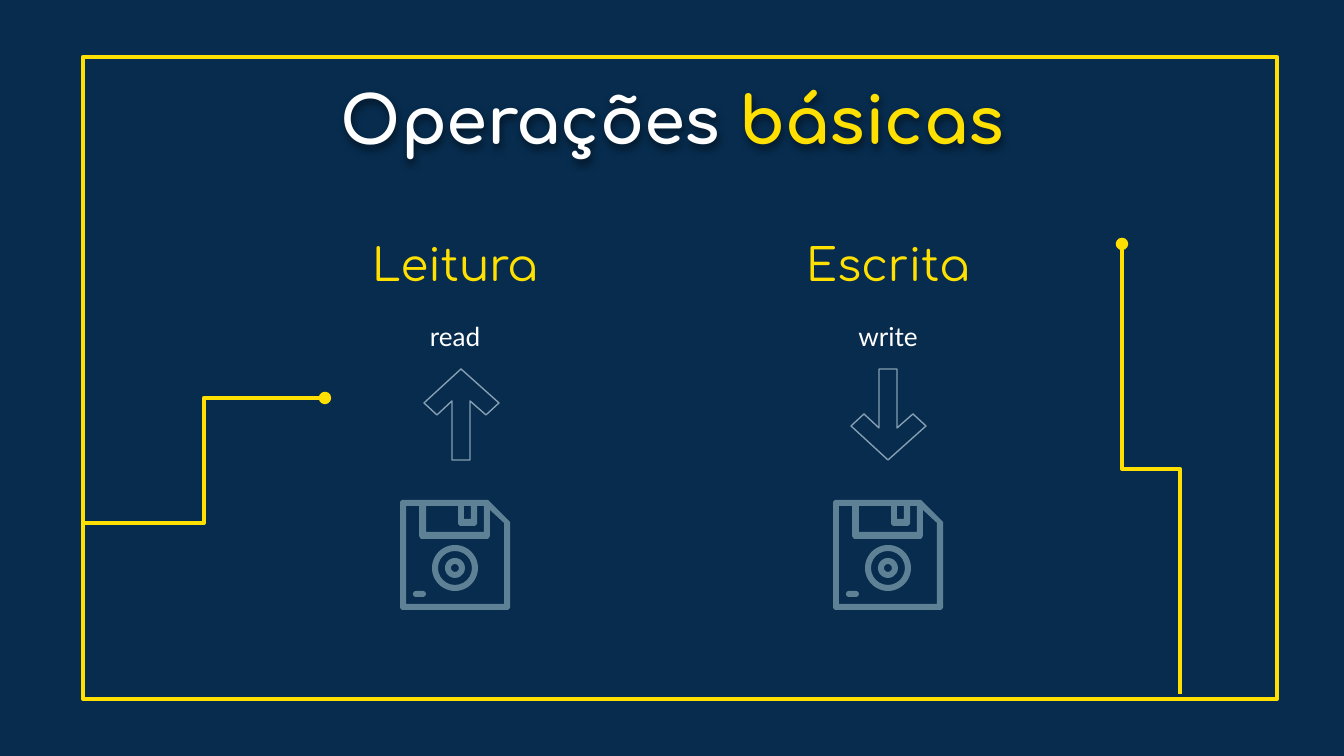
import pptx
import pptx.dml.color
import pptx.enum.shapes
import pptx.enum.text
import pptx.oxml
import pptx.oxml.ns
import pptx.util

PX = 914400 / 134.4  # EMU in one px
NAVY, YELLOW, WHITE = "072C4E", "FFE000", "FFFFFF"
STEEL, PALE = "5F8195", "869FB2"
KIND = pptx.enum.shapes.MSO_SHAPE
ALIGN = pptx.enum.text.PP_ALIGN
ANCHOR = pptx.enum.text.MSO_ANCHOR
NAMESPACE = pptx.oxml.ns.nsdecls("a")


def px(*lengths):
    return [pptx.util.Emu(round(length * PX)) for length in lengths]


def paint(color_format, hex_color):
    color_format.rgb = pptx.dml.color.RGBColor.from_string(hex_color)


def add_xml(parent, markup):
    tag, _, rest = markup.partition(">")
    slash = "/" if tag.endswith("/") else ""
    parent.append(pptx.oxml.parse_xml(f"{tag.rstrip('/')} {NAMESPACE}{slash}>{rest}"))


def stroke(line, hex_color, width):
    line.width = pptx.util.Pt(width)
    line.fill.solid()
    paint(line.fill.fore_color, hex_color)


def style(shape, fill=None, line=None, width=1):
    shape.shadow.inherit = False
    if fill:
        shape.fill.solid()
        paint(shape.fill.fore_color, fill)
    else:
        shape.fill.background()
    if line:
        stroke(shape.line, line, width)
    else:
        shape.line.fill.background()


def add_text(page, box, spans, font, size, bold=False, spacing=1.0, anchor=ANCHOR.TOP):
    """Centred line of text; spans are (text, colour) pairs."""
    text_box = page.shapes.add_textbox(*px(*box))
    frame = text_box.text_frame
    frame.word_wrap = True
    frame.vertical_anchor = anchor
    frame.margin_left = frame.margin_right = pptx.util.Inches(0.1)
    frame.margin_top = frame.margin_bottom = pptx.util.Inches(0.1)
    para = frame.paragraphs[0]
    para.alignment = ALIGN.CENTER
    para.line_spacing = spacing
    for text, color in spans:
        span = para.add_run()
        span.text = text
        span.font.name = font
        span.font.size = pptx.util.Pt(size)
        span.font.bold = bold
        paint(span.font.color, color)
    return text_box


def add_outline(shapes, left, top, contours):
    """Closed freeform whose contours are given in px from left, top."""
    builder = shapes.build_freeform(*contours[0][0], scale=PX)
    builder.add_line_segments(contours[0][1:], close=True)
    for contour in contours[1:]:
        builder.move_to(*contour[0])
        builder.add_line_segments(contour[1:], close=True)
    return builder.convert_to_shape(*px(left, top))


def add_circuit(page, start, end, rotation=0):
    """Elbow line with a dot at its start."""
    elbow = pptx.enum.shapes.MSO_CONNECTOR.ELBOW
    circuit = page.shapes.add_connector(elbow, *px(*start, *end))
    stroke(circuit.line, YELLOW, 2.25)
    properties = circuit._element.spPr
    properties.find(pptx.oxml.ns.qn("a:xfrm")).set("rot", str(rotation * 60000))
    outline = circuit.line._get_or_add_ln()
    add_xml(outline, "<a:round/>")
    add_xml(outline, '<a:headEnd type="oval"/>')
    add_xml(properties, "<a:effectLst/>")


def add_frame(page, left, top, width, height):
    frame = page.shapes.add_shape(KIND.RECTANGLE, *px(left, top, width, height))
    style(frame, NAVY, YELLOW, 2.25)
    add_xml(frame.line._get_or_add_ln(), "<a:round/>")
    # Left circuit, then the right one, which runs downwards
    add_circuit(page, (left + 242, top + 341), (left, top + 466))
    add_circuit(page, (left + 1293, top + 383), (left + 843, top + 441), rotation=270)


def add_title(page, box):
    title = add_text(page, box, [("Operações ", WHITE), ("básicas", YELLOW)],
                     "Comfortaa", 35, bold=True)
    add_xml(title._element.spPr,
            '<a:effectLst><a:outerShdw blurRad="57150" dist="19050" dir="5400000">'
            '<a:srgbClr val="000000"><a:alpha val="50000"/></a:srgbClr>'
            "</a:outerShdw></a:effectLst>")


def add_arrow(page, left, top, height, upward):
    points = [(0, 34), (13, 46), (28, 32), (28, height), (46, height),
              (46, 32), (62, 46), (75, 34), (37, 0)]
    if not upward:
        points = [(x, height - y) for x, y in points]
    style(add_outline(page.shapes, left, top, [points]), line=PALE, width=0.75)


def add_floppy(page, left, top):
    shapes = page.shapes.add_group_shape().shapes
    case = [(2, 0), (88, 0), (110, 22), (110, 108), (108, 110), (2, 110), (0, 108), (0, 2)]
    shutter_slot = [(64, 6), (71, 6), (71, 19), (64, 19)]
    shutter = [(26, 6), (58, 6), (58, 24), (60, 26), (75, 26), (77, 24), (77, 6),
               (84, 6), (84, 32), (26, 32)]
    inside = [(6, 6), (19, 6), (19, 36), (21, 39), (88, 39), (90, 36), (90, 10),
              (104, 23), (104, 104), (6, 104)]
    style(add_outline(shapes, left, top, [case, shutter_slot, shutter, inside]), STEEL)
    # Write-protect tab
    tab = shapes.add_shape(KIND.ROUNDED_RECTANGLE, *px(left + 13, top + 91, 13, 6))
    tab.adjustments[0] = 0.5
    style(tab, STEEL)
    # Hub rings around one centre
    for size in (46, 20):
        ring = shapes.add_shape(
            KIND.DONUT, *px(left + 55 - size / 2, top + 68 - size / 2, size, size))
        ring.adjustments[0] = 6 / size
        style(ring, STEEL)


def add_operation(page, left, top, width, heading, command, arrow_left, upward):
    add_text(page, (left, top, width, 74), [(heading, YELLOW)],
             "Comfortaa", 24, spacing=1.15, anchor=ANCHOR.BOTTOM)
    add_text(page, (left, top + 72, width, 98), [(command, WHITE)],
             "Lato", 14, spacing=1.15)
    add_arrow(page, left + arrow_left, top + 139, 91, upward)
    add_floppy(page, left + 90, top + 270)


def main():
    deck = pptx.Presentation()
    deck.slide_width, deck.slide_height = px(1344, 756)
    page = deck.slides.add_slide(deck.slide_layouts[6])
    page.background.fill.solid()
    paint(page.background.fill.fore_color, NAVY)

    add_frame(page, 83, 57, 1194, 642)
    add_title(page, (106, 66, 1133, 85))
    add_operation(page, 310, 230, 290, "Leitura", "read", 114, upward=True)
    add_operation(page, 743, 230, 290, "Escrita", "write", 108, upward=False)
    deck.save("out.pptx")


if __name__ == "__main__":
    main()
